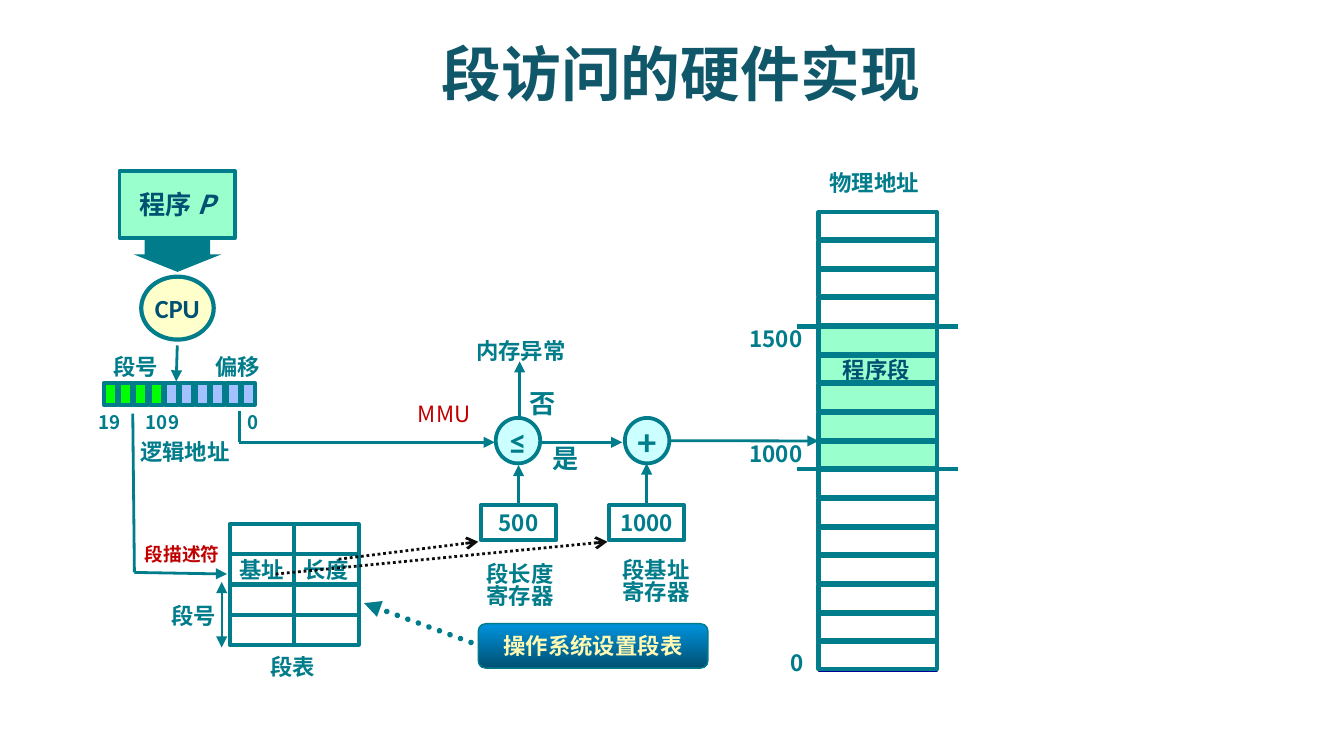
from dataclasses import dataclass
from typing import Optional

from lxml import etree
from pptx import Presentation
from pptx import util as u
from pptx.dml.color import RGBColor
from pptx.enum import dml, shapes, text
from pptx.oxml.ns import qn

CJK = "Noto Sans CJK SC"
LATIN = "Calibri"
COLORS = {
    "title": "11576A", "teal": "007C8B", "navy": "005072", "red": "C00000",
    "white": "FFFFFF", "mint": "99FFCC", "cyan": "CCFFFF", "cream": "FFFFCC",
    "green": "00FF00", "blue": "A2C1FE", "black": "0D0D0D", "frame": "000099",
    "sky": "0093DD", "yellow": "FFF9B1",
}
KIND = shapes.MSO_SHAPE


@dataclass
class Label:
    words: str
    left: float
    top: float
    width: float
    height: float
    size: float = 12
    color: str = "teal"
    bold: bool = True
    centred: bool = True
    wrap: bool = False
    spacing: Optional[float] = None


@dataclass
class Box:
    left: float
    top: float
    width: float
    height: float
    fill: Optional[str] = None
    line: Optional[str] = "teal"
    weight: float = 2.25
    kind: int = KIND.RECTANGLE
    words: str = ""
    size: float = 12
    color: str = "teal"
    font: str = CJK


@dataclass
class Link:
    x1: float
    y1: float
    x2: float
    y2: float
    color: str = "teal"
    weight: float = 1.5
    head: str = ""
    tail: str = ""
    dotted: bool = False
    round_cap: bool = False
    start: Optional[tuple] = None
    end: Optional[tuple] = None


def rgb(name: str) -> RGBColor:
    return RGBColor.from_string(COLORS[name])


def write(frame, words: str, size: float, color: str, bold: bool = True,
          font: str = CJK, centred: bool = True, spacing: Optional[float] = None) -> None:
    frame.text = words
    for paragraph in frame.paragraphs:
        paragraph.alignment = text.PP_ALIGN.CENTER if centred else text.PP_ALIGN.LEFT
        if spacing:
            paragraph.line_spacing = spacing
        for run in paragraph.runs:
            style_run(run, size, color, bold, font)


def style_run(run, size: float, color: str, bold: bool, font: str) -> None:
    run.font.size = u.Pt(size)
    run.font.bold = bold
    run.font.name = font
    run.font.color.rgb = rgb(color)
    etree.SubElement(run._r.get_or_add_rPr(), qn("a:ea"), typeface=font)


def draw_label(slide, label: Label):
    shape = slide.shapes.add_textbox(u.Cm(label.left), u.Cm(label.top),
                                     u.Cm(label.width), u.Cm(label.height))
    frame = shape.text_frame
    write(frame, label.words, label.size, label.color, label.bold,
          centred=label.centred, spacing=label.spacing)
    frame.word_wrap = label.wrap
    frame.auto_size = text.MSO_AUTO_SIZE.SHAPE_TO_FIT_TEXT
    return shape


def draw_box(slide, box: Box):
    shape = slide.shapes.add_shape(box.kind, u.Cm(box.left), u.Cm(box.top),
                                   u.Cm(box.width), u.Cm(box.height))
    shape.shadow.inherit = False
    if box.fill:
        shape.fill.solid()
        shape.fill.fore_color.rgb = rgb(box.fill)
    else:
        shape.fill.background()
    if box.line:
        shape.line.color.rgb = rgb(box.line)
        shape.line.width = u.Pt(box.weight)
    else:
        shape.line.fill.background()
    if box.words:
        write(shape.text_frame, box.words, box.size, box.color, font=box.font)
        shape.text_frame.word_wrap = False
        shape.text_frame.vertical_anchor = text.MSO_ANCHOR.MIDDLE
    return shape


def draw_link(slide, link: Link):
    connector = slide.shapes.add_connector(
        shapes.MSO_CONNECTOR.STRAIGHT, u.Cm(link.x1), u.Cm(link.y1), u.Cm(link.x2), u.Cm(link.y2))
    if link.start:
        connector.begin_connect(*link.start)
    if link.end:
        connector.end_connect(*link.end)
    connector.line.color.rgb = rgb(link.color)
    connector.line.width = u.Pt(link.weight)
    if link.dotted:
        connector.line.dash_style = dml.MSO_LINE.ROUND_DOT
    properties = connector._element.spPr
    outline = properties.find(qn("a:ln"))
    if link.round_cap:
        outline.set("cap", "rnd")
    for tag, arrow in (("a:headEnd", link.head), ("a:tailEnd", link.tail)):
        if arrow:
            etree.SubElement(outline, qn(tag), type=arrow)
    etree.SubElement(properties, qn("a:effectLst"))
    return connector


def draw_memory(slide):
    memory = draw_box(slide, Box(15.47, 3.99, 2.24, 8.69, "white", "frame", 1))
    draw_box(slide, Box(15.45, 6.17, 2.24, 2.72, "mint", None))
    for row in range(16):
        draw_box(slide, Box(15.47, 4.01 + row * 8.13 / 15, 2.24, 0.51))
    for y in (6.17, 8.87):
        draw_link(slide, Link(15.06, y, 18.11, y, weight=2.25))
    return memory


def draw_segment_table(slide) -> None:
    draw_box(slide, Box(4.34, 9.88, 2.44, 2.29, "white", None))
    names = {(1, 0): "基址", (1, 1): "长度"}
    for row in range(4):
        for column in range(2):
            draw_box(slide, Box(4.34 + column * 1.22, 9.91 + row * 0.57, 1.22, 0.57,
                                words=names.get((row, column), "")))


def draw_program(slide) -> None:
    draw_box(slide, Box(2.53, 4.48, 1.65, 0.66, "teal", None, kind=KIND.DOWN_ARROW)).adjustments[0] = 0.75
    draw_box(slide, Box(2.67, 5.23, 1.37, 1.19, "cream", kind=KIND.OVAL,
                        words="CPU", size=14, color="navy", font=LATIN))
    program = draw_box(slide, Box(2.26, 3.23, 2.18, 1.27, "mint", weight=2,
                                  words="程序 ", size=14, color="navy"))
    run = program.text_frame.paragraphs[0].add_run()
    run.text = "P"
    style_run(run, 14, "navy", True, CJK)
    run.font.italic = True
    for bit in range(10):
        draw_box(slide, Box(1.96 + bit * 0.29, 7.24, 0.25, 0.41, "green" if bit < 4 else "blue"))


def draw_notice(slide) -> None:
    notice = draw_box(slide, Box(9.04, 11.79, 4.34, 0.84, weight=0.75,
                                 kind=KIND.FLOWCHART_ALTERNATE_PROCESS,
                                 words="操作系统设置段表", color="yellow"))
    notice.fill.gradient()
    notice.fill.gradient_angle = 270
    for stop, color in zip(notice.fill.gradient_stops, ("sky", "navy")):
        stop.color.rgb = rgb(color)


LABELS = [
    Label("段访问的硬件实现", 8.1, 0.58, 14.5, 1.63, 32, "title", centred=False, wrap=True),
    Label("物理地址", 15.42, 3.07, 2.21, 0.76),
    Label("1500", 13.89, 6.02, 1.55, 0.76),
    Label("1000", 13.89, 8.2, 1.55, 0.76),
    Label("0", 14.68, 12.14, 0.76, 0.76),
    Label("程序段", 15.27, 6.6, 2.59, 0.76, color="navy", wrap=True),
    Label("段基址\n寄存器", 11.51, 10.49, 1.78, 1.07, spacing=0.8),
    Label("段长度\n寄存器", 8.94, 10.57, 1.78, 1.07, spacing=0.8),
    Label("是", 10.19, 8.23, 1.02, 0.84, 14, centred=False),
    Label("否", 9.75, 7.19, 1.02, 0.84, 14, centred=False),
    Label("内存异常", 8.23, 6.25, 3.23, 0.76, wrap=True),
    Label("MMU", 7.65, 7.44, 1.78, 0.76, color="red", bold=False, centred=False, wrap=True),
    Label("段表", 4.85, 12.22, 1.37, 0.76),
    Label("段号", 2.9, 11.25, 1.52, 0.76, wrap=True),
    Label("段描述符", 2.49, 10.13, 2.11, 0.69, 10, "red", centred=False, wrap=True),
    Label("段号", 1.7, 6.55, 1.73, 0.76, wrap=True),
    Label("偏移", 3.51, 6.55, 1.96, 0.76, wrap=True),
    Label("19", 1.6, 7.65, 0.94, 0.69, 10),
    Label("10", 2.49, 7.65, 0.94, 0.69, 10),
    Label("9", 2.92, 7.65, 0.74, 0.69, 10),
    Label("0", 4.42, 7.65, 0.74, 0.69, 10),
    Label("逻辑地址", 2.39, 8.15, 2.21, 0.76),
]


def main() -> None:
    presentation = Presentation()
    presentation.slide_width = u.Cm(25.4)
    presentation.slide_height = u.Cm(14.29)
    slide = presentation.slides.add_slide(presentation.slide_layouts[6])

    memory = draw_memory(slide)
    draw_segment_table(slide)
    draw_program(slide)
    for left, sign, size in ((9.37, "≤", 18), (11.81, "+", 20)):
        draw_box(slide, Box(left, 7.9, 0.84, 0.86, "cyan", weight=2, kind=KIND.OVAL,
                            words=sign, size=size, font=LATIN))
    limit, base = [draw_box(slide, Box(left, 9.55, 1.42, 0.66, "white", words=value))
                   for left, value in ((9.09, "500"), (11.51, "1000"))]

    for link in (
        Link(9.8, 9.55, 9.8, 8.79, tail="triangle", start=(limit, 0)),
        Link(12.22, 9.55, 12.22, 8.76, tail="triangle", start=(base, 0)),
        Link(12.65, 8.33, 15.47, 8.33, tail="triangle", end=(memory, 1)),
        Link(10.24, 8.36, 11.76, 8.36, tail="triangle"),
        Link(4.52, 7.77, 4.52, 8.36),
        Link(4.52, 8.36, 9.35, 8.36, tail="triangle"),
        Link(9.82, 7.87, 9.82, 6.83, tail="triangle"),
        Link(3.35, 6.53, 3.33, 7.21, tail="triangle"),
        Link(2.51, 7.82, 2.54, 10.82),
        Link(2.54, 10.82, 4.29, 10.85, tail="triangle"),
        Link(4.19, 12.24, 4.19, 11, weight=1, head="triangle", tail="triangle"),
        Link(9.3, 12.29, 6.88, 11.4, weight=3, tail="triangle", dotted=True, round_cap=True),
        Link(5.21, 10.85, 11.48, 10.24, "black", tail="arrow", dotted=True),
        Link(6.4, 10.57, 9.04, 10.24, "black", tail="arrow", dotted=True),
    ):
        draw_link(slide, link)
    draw_notice(slide)
    for label in LABELS:
        draw_label(slide, label)
    presentation.save("out.pptx")


if __name__ == "__main__":
    main()
